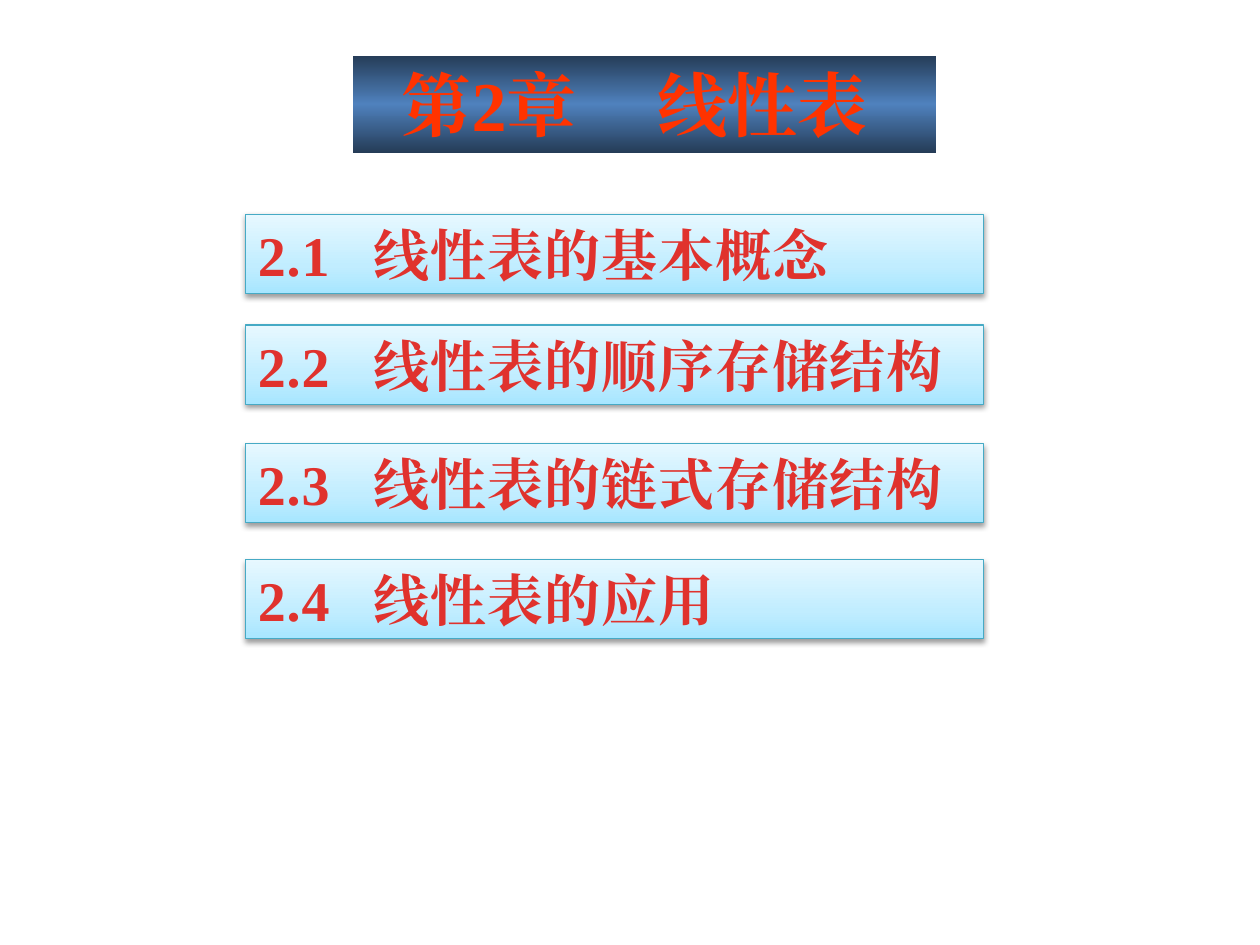
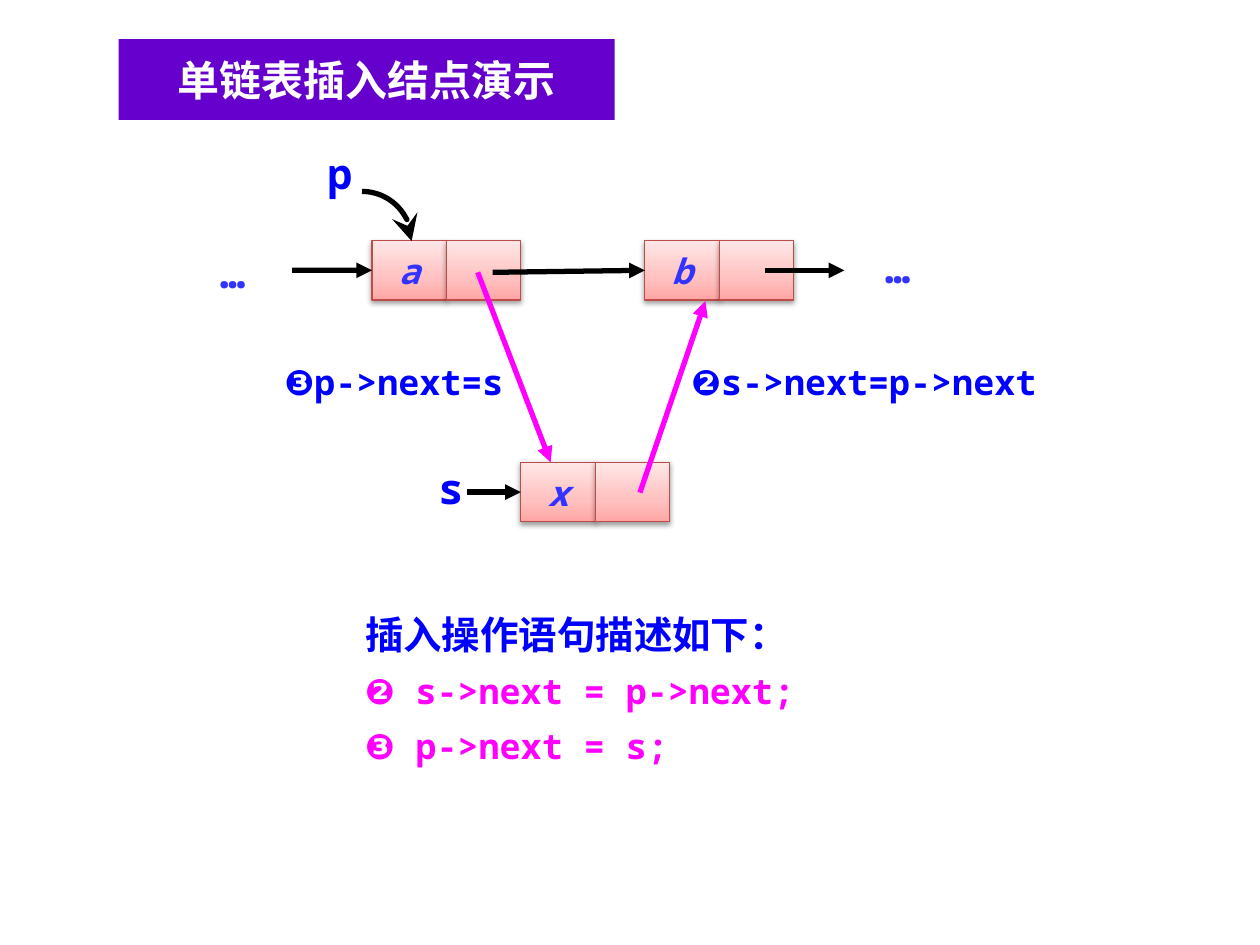
from dataclasses import dataclass
from typing import Any, Optional

from lxml import etree
from pptx import Presentation
from pptx.dml.color import RGBColor
from pptx.enum import shapes, text
from pptx.oxml.ns import qn
from pptx.util import Cm, Pt

SERIF, MONO = "Times New Roman", "Noto Sans Mono"
BLACK, BLUE, INDIGO, PINK = "000000", "0000FF", "3333FF", "FF00FF"
LEFT, CENTER = text.PP_ALIGN.LEFT, text.PP_ALIGN.CENTER
CELL_WIDTH, CELL_HEIGHT = 1.5, 1.2


@dataclass(frozen=True)
class Area:
    left: float
    top: float
    width: float
    height: float

    def lengths(self) -> tuple:
        return tuple(Cm(v) for v in (self.left, self.top, self.width, self.height))


@dataclass(frozen=True)
class Line:
    words: str
    size: float
    color: str
    font: str = MONO
    italic: bool = False
    align: Any = LEFT
    spacing: Optional[float] = None
    tab: Optional[float] = None
    tracking: Optional[int] = None


@dataclass(frozen=True)
class Panel:
    stops: tuple
    border: Optional[str] = None
    shadow: bool = False


@dataclass(frozen=True)
class Label:
    area: Area
    line: Line


@dataclass(frozen=True)
class Node:
    name: str
    left: float
    top: float


@dataclass(frozen=True)
class Arrow:
    start: tuple
    end: tuple
    color: str = BLACK
    target: Optional[str] = None


BANNER = Panel(((0, "253C57"), (50, "4F81BD"), (100, "253C57")))
TOPIC = Panel(((0, "A7E6FF"), (35, "C1EDFF"), (100, "E7F8FF")), "46AAC5", True)
CELL = Panel(((0, "FFA6A5"), (35, "FFC0BF"), (100, "FFE7E7")), "BF4C48", True)

TOPICS = (
    (4.32, "线性表的基本概念"),
    (6.55, "线性表的顺序存储结构"),
    (8.94, "线性表的链式存储结构"),
    (11.28, "线性表的应用"),
)
NODES = (Node("a", 7.5, 4.85), Node("b", 13, 4.85), Node("x", 10.5, 9.32))
LABELS = (
    Label(Area(17.3, 4.75, 1.6, 1.27), Line("…", 24, INDIGO, align=CENTER)),
    Label(Area(3.89, 4.85, 1.6, 1.27), Line("…", 24, INDIGO, align=CENTER)),
    Label(Area(6.35, 2.84, 1.19, 1.27), Line("p", 24, BLUE)),
    Label(Area(8.59, 9.19, 1.19, 1.27), Line("s", 24, BLUE)),
    Label(Area(13.69, 7.14, 7.82, 1.09), Line("❷s->next=p->next", 20, BLUE)),
    Label(Area(5.49, 7.14, 5.26, 1.09), Line("❸p->next=s", 20, BLUE)),
)
ARROWS = (
    Arrow((9.93, 5.49), (13, 5.45), target="b"),
    Arrow((15.42, 5.45), (17.02, 5.45)),
    Arrow((5.89, 5.45), (7.5, 5.45), target="a"),
    Arrow((9.42, 9.92), (10.5, 9.92), target="x"),
    Arrow((12.9, 9.93), (14.22, 6.07), PINK),
    Arrow((9.63, 5.49), (11.1, 9.32), PINK),
)
STATEMENTS = (
    Line("插入操作语句描述如下：", 22, BLUE, spacing=1.3),
    Line("❷ s->next = p->next;", 20, PINK, spacing=1.3),
    Line("❸ p->next = s;", 20, PINK, spacing=1.3),
)


def rgb(color: str) -> RGBColor:
    return RGBColor.from_string(color)


def apply(target: Any, values: dict) -> None:
    for name, value in values.items():
        setattr(target, name, value)


def child(parent: Any, tag: str, **attributes: Any) -> Any:
    values = {name: str(value) for name, value in attributes.items()}
    return etree.SubElement(parent, qn(tag), values)


def write(box: Any, lines: tuple, **frame_values: Any) -> None:
    frame = box.text_frame
    apply(frame, {
        "word_wrap": True,
        "vertical_anchor": text.MSO_ANCHOR.TOP,
        "auto_size": text.MSO_AUTO_SIZE.SHAPE_TO_FIT_TEXT,
        **frame_values,
    })
    for index, line in enumerate(lines):
        para = frame.add_paragraph() if index else frame.paragraphs[0]
        apply(para, {"alignment": line.align, "line_spacing": line.spacing})
        if line.tab:
            stops = child(para._p.get_or_add_pPr(), "a:tabLst")
            child(stops, "a:tab", pos=Cm(line.tab), algn="l")
        span = para.add_run()
        span.text = line.words
        apply(span.font, {"name": line.font, "size": Pt(line.size),
                          "bold": True, "italic": line.italic})
        span.font.color.rgb = rgb(line.color)
        properties = span.font._element
        child(properties, "a:ea", typeface=line.font)
        if line.tracking:
            properties.set("spc", str(line.tracking))


def add_box(page: Any, area: Area) -> Any:
    box = page.shapes.add_shape(shapes.MSO_SHAPE.RECTANGLE, *area.lengths())
    box.shadow.inherit = False
    box.line.fill.background()
    return box


def add_panel(page: Any, area: Area, panel: Panel) -> Any:
    box = add_box(page, area)
    box.fill.gradient()
    box.fill.gradient_angle = 90
    properties = box.element.spPr
    stops = properties.find(f"{qn('a:gradFill')}/{qn('a:gsLst')}")
    stops.clear()
    for position, color in panel.stops:
        stop = child(stops, "a:gs", pos=position * 1000)
        child(stop, "a:srgbClr", val=color)
    if panel.border:
        box.line.color.rgb = rgb(panel.border)
        box.line.width = Pt(0.75)
    if panel.shadow:
        shadow = child(properties.find(qn("a:effectLst")), "a:outerShdw",
                       blurRad=Pt(3.1), dist=Pt(1.6), dir=5400000, rotWithShape=0)
        child(child(shadow, "a:srgbClr", val=BLACK), "a:alpha", val=38000)
    return box


def add_text(page: Any, area: Area, *lines: Line) -> None:
    write(page.shapes.add_textbox(*area.lengths()), lines)


def style_arrow(stroke: Any, color: str, head: str, size: str) -> None:
    stroke.line.color.rgb = rgb(color)
    stroke.line.width = Pt(3)
    outline = stroke.element.spPr.find(qn("a:ln"))
    child(outline, "a:tailEnd", type=head, w=size, len=size)


def add_arrow(page: Any, arrow: Arrow, cells: dict) -> None:
    ends = [Cm(value) for value in arrow.start + arrow.end]
    connector = page.shapes.add_connector(shapes.MSO_CONNECTOR.STRAIGHT, *ends)
    if arrow.target:
        connector.end_connect(cells[arrow.target], 1)
    style_arrow(connector, arrow.color, "triangle", "med")
    child(connector.element.spPr, "a:effectLst")


def add_node(page: Any, node: Node) -> Any:
    data, link = (
        add_panel(page, Area(node.left + column * CELL_WIDTH, node.top,
                             CELL_WIDTH, CELL_HEIGHT), CELL)
        for column in range(2)
    )
    write(data, (Line(node.name, 20, INDIGO, italic=True, align=CENTER),),
          word_wrap=False, vertical_anchor=text.MSO_ANCHOR.MIDDLE,
          auto_size=text.MSO_AUTO_SIZE.NONE)
    return data


def build_contents(page: Any) -> None:
    banner = add_panel(page, Area(7.11, 1.12, 11.76, 1.96), BANNER)
    write(banner, (Line("第2章\t线性表", 40, "FF3300", SERIF, tab=5.15),),
          margin_left=Cm(0.99))
    for number, (top, name) in enumerate(TOPICS, 1):
        box = add_panel(page, Area(4.95, top, 14.88, 1.6), TOPIC)
        write(box, (Line(f"2.{number}\t{name}", 32, "E0322D", SERIF,
                         tab=2.34, tracking=50),))


def build_insertion(page: Any) -> None:
    cells = {node.name: add_node(page, node) for node in NODES}
    for label in LABELS:
        add_text(page, label.area, label.line)
    pointer = page.shapes.add_shape(
        shapes.MSO_SHAPE.ARC, *Area(6.3, 3.86, 2, 2).lengths())
    pointer.shadow.inherit = False
    pointer.fill.background()
    style_arrow(pointer, BLACK, "stealth", "lg")
    for arrow in ARROWS:
        add_arrow(page, arrow, cells)
    add_text(page, Area(7.11, 11.91, 10.8, 3.78), *STATEMENTS)
    heading = add_box(page, Area(2.39, 0.79, 10, 1.63))
    heading.fill.solid()
    heading.fill.fore_color.rgb = rgb("6600CC")
    write(heading, (Line("单链表插入结点演示", 24, "FFFFFF", align=CENTER),),
          margin_left=Cm(0.46), margin_right=Cm(0.46),
          margin_top=Cm(0.3), margin_bottom=Cm(0.3))


def main() -> None:
    deck = Presentation()
    apply(deck, {"slide_width": Cm(25.4), "slide_height": Cm(19.05)})
    for build in (build_contents, build_insertion):
        build(deck.slides.add_slide(deck.slide_layouts[6]))
    deck.save("out.pptx")


if __name__ == "__main__":
    main()
